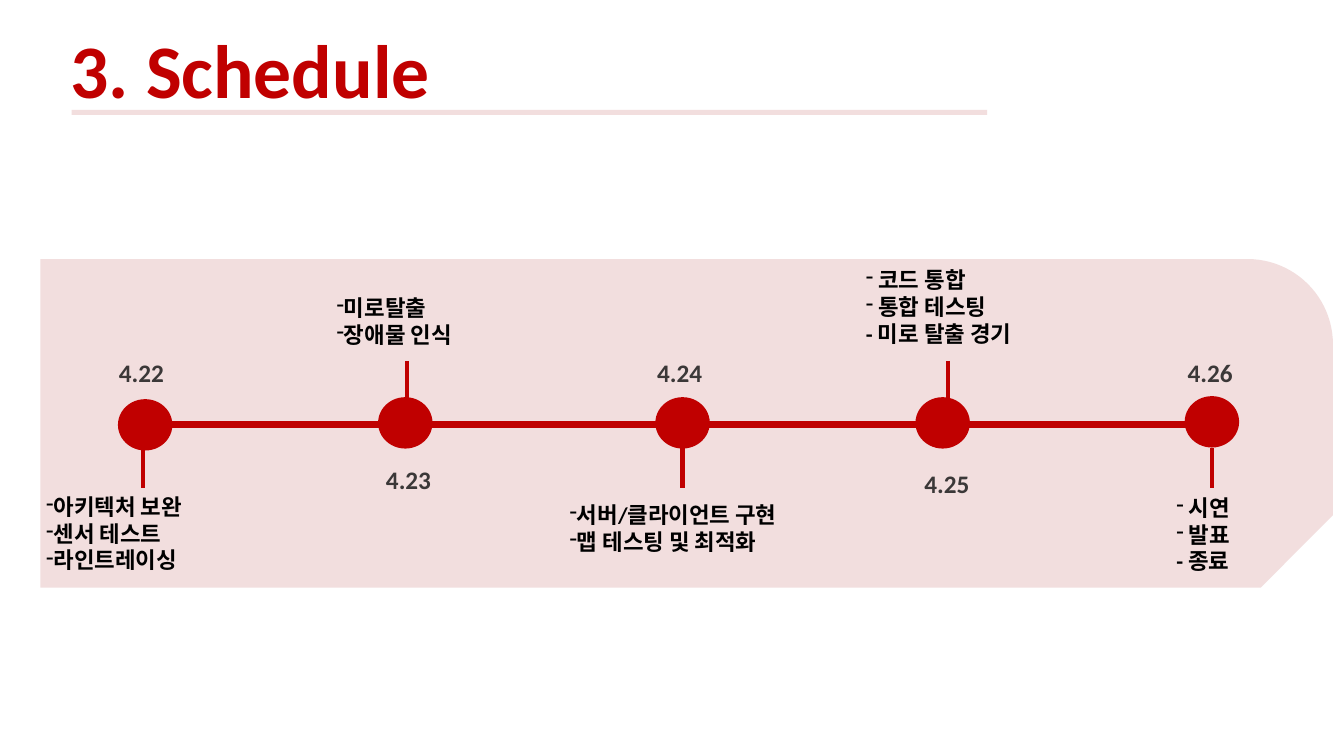
from dataclasses import dataclass

from pptx import Presentation
from pptx.dml.color import RGBColor
from pptx.enum.shapes import MSO_CONNECTOR, MSO_SHAPE
from pptx.enum.text import MSO_ANCHOR, MSO_AUTO_SIZE, PP_ALIGN
from pptx.oxml.xmlchemy import OxmlElement
from pptx.util import Inches, Pt


@dataclass(frozen=True)
class Theme:
    font: str = "Calibri"
    red: RGBColor = RGBColor(0xC0, 0x00, 0x00)
    pink: RGBColor = RGBColor(0xF2, 0xDE, 0xDE)
    gray: RGBColor = RGBColor(0x3B, 0x38, 0x38)
    black: RGBColor = RGBColor(0x00, 0x00, 0x00)
    title_size: int = 54
    date_size: int = 18
    task_size: int = 16
    axis_width: float = 4.5
    stem_width: float = 3


@dataclass(frozen=True)
class Milestone:
    date: str
    date_position: tuple
    dot_position: tuple
    stem_x: float
    task_box: tuple
    tasks: tuple


MILESTONES = (
    Milestone("4.22", (1.08, 3.5), (1.17, 3.96), 1.42, (0.36, 4.84, 1.9, 0.91),
              ("아키텍처 보완", "센서 테스트", "라인트레이싱")),
    Milestone("4.23", (3.73, 4.56), (3.75, 3.94), 4.04, (3.24, 2.87, 2.41, 0.64),
              ("미로탈출", "장애물 인식")),
    Milestone("4.24", (6.42, 3.5), (6.5, 3.94), 6.77, (5.55, 4.92, 2.69, 0.64),
              ("서버/클라이언트 구현", "맵 테스팅 및 최적화")),
    Milestone("4.25", (9.07, 4.6), (9.08, 3.94), 9.4, (8.49, 2.59, 1.88, 0.91),
              (" 코드 통합", " 통합 테스팅", "- 미로 탈출 경기")),
    Milestone("4.26", (11.68, 3.5), (11.75, 3.93), 12.02, (11.57, 4.85, 1.36, 0.91),
              (" 시연", " 발표", "- 종료")),
)
STEM_ABOVE = (3.58, 3.97)
STEM_BELOW = (4.44, 4.84)


class SlideBuilder:
    def __init__(self, slide, theme):
        self.slide = slide
        self.theme = theme

    def format_text(self, text_frame, size, color):
        text_frame.word_wrap = True
        text_frame.vertical_anchor = MSO_ANCHOR.TOP
        for paragraph in text_frame.paragraphs:
            paragraph.alignment = PP_ALIGN.LEFT
            for run in paragraph.runs:
                run.font.name = self.theme.font
                run.font.size = Pt(size)
                run.font.bold = True
                run.font.color.rgb = color

    def add_title(self, text, box):
        title = self.slide.shapes.title
        title.left, title.top, title.width, title.height = map(Inches, box)
        title.text_frame.text = text
        title.text_frame.auto_size = MSO_AUTO_SIZE.NONE
        self.format_text(title.text_frame, self.theme.title_size, self.theme.red)

    def add_text(self, lines, box, size, color):
        text_frame = self.slide.shapes.add_textbox(*map(Inches, box)).text_frame
        text_frame.text = "\n".join(lines)
        text_frame.auto_size = MSO_AUTO_SIZE.SHAPE_TO_FIT_TEXT
        self.format_text(text_frame, size, color)
        return text_frame

    def add_tasks(self, tasks, box):
        text_frame = self.add_text(tasks, box, self.theme.task_size, self.theme.black)
        for paragraph in text_frame.paragraphs:
            if not paragraph.text.startswith("-"):
                properties = paragraph._p.get_or_add_pPr()
                properties.set("marL", "0")
                properties.set("indent", "0")
                bullet = OxmlElement("a:buChar")
                bullet.set("char", "-")
                properties.append(bullet)

    def add_shape(self, kind, box, color):
        shape = self.slide.shapes.add_shape(kind, *map(Inches, box))
        shape.shadow.inherit = False
        shape.fill.solid()
        shape.fill.fore_color.rgb = color
        shape.line.fill.background()
        return shape

    def add_line(self, start, end, width):
        line = self.slide.shapes.add_connector(
            MSO_CONNECTOR.STRAIGHT, *map(Inches, start + end))
        line.line.color.rgb = self.theme.red
        line.line.width = Pt(width)
        line._element.spPr.append(OxmlElement("a:effectLst"))


def main():
    presentation = Presentation()
    presentation.slide_width = Inches(13.33)
    presentation.slide_height = Inches(7.5)
    theme = Theme()
    slide = presentation.slides.add_slide(presentation.slide_layouts[5])
    builder = SlideBuilder(slide, theme)

    builder.add_title("3. Schedule", (0.6, 0.18, 8.46, 1.01))
    builder.add_shape(MSO_SHAPE.RECTANGLE, (0.71, 1.09, 9.08, 0.05), theme.pink)

    band = builder.add_shape(
        MSO_SHAPE.SNIP_ROUND_RECTANGLE, (5.18, -2.21, 3.26, 12.82), theme.pink)
    band.rotation = 90
    band.adjustments[0] = 0.26
    band.adjustments[1] = 0.22

    builder.add_line((1.31, 4.21), (12.23, 4.21), theme.axis_width)
    for index, milestone in enumerate(MILESTONES):
        top, bottom = STEM_ABOVE if index % 2 else STEM_BELOW
        builder.add_line(
            (milestone.stem_x, top), (milestone.stem_x, bottom), theme.stem_width)
        builder.add_shape(
            MSO_SHAPE.OVAL, milestone.dot_position + (0.54, 0.51), theme.red)
        builder.add_text([milestone.date], milestone.date_position + (1.05, 0.4),
                         theme.date_size, theme.gray)
        builder.add_tasks(milestone.tasks, milestone.task_box)

    presentation.save("out.pptx")


if __name__ == "__main__":
    main()
